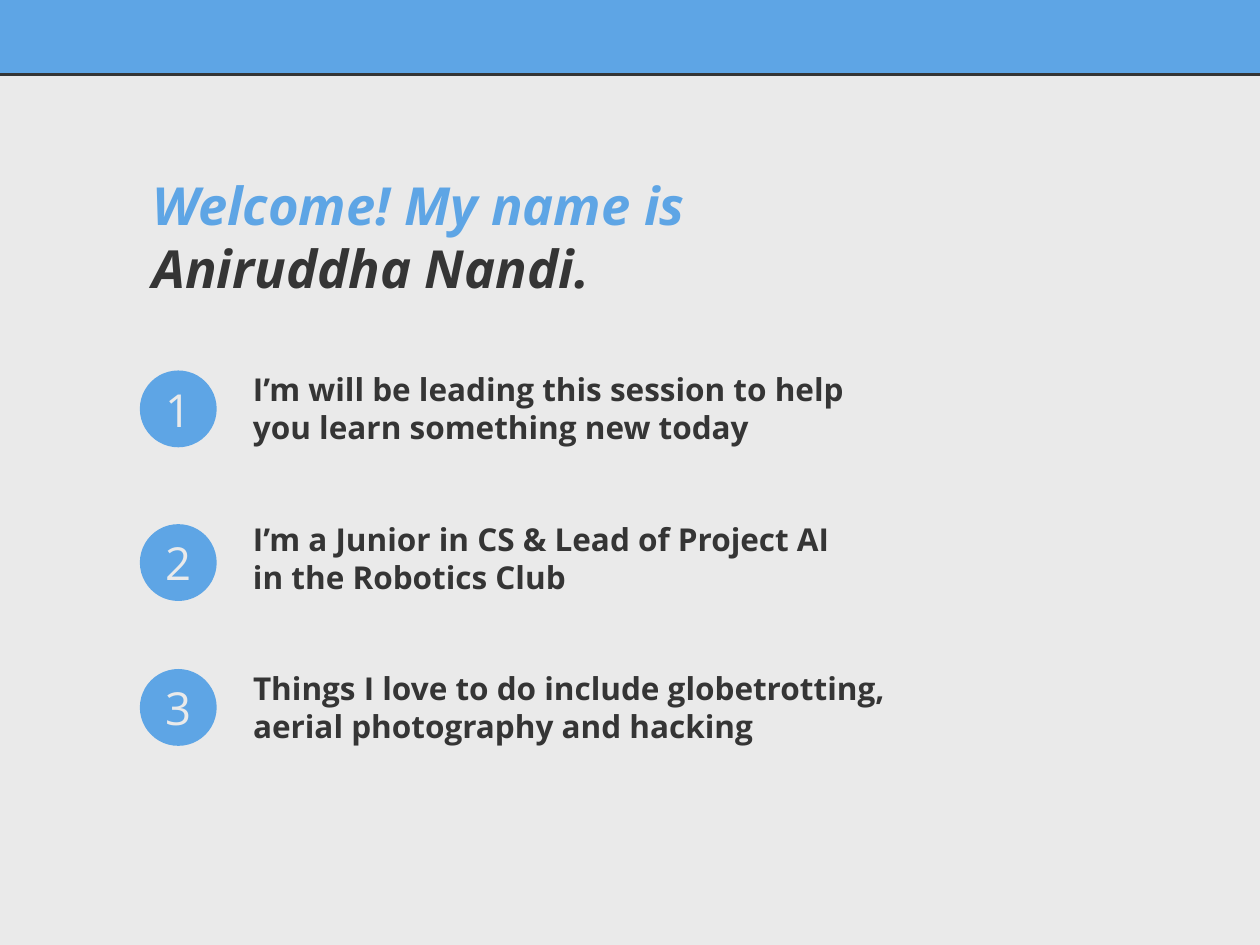
from pptx import Presentation
from pptx.dml.color import RGBColor
from pptx.enum.shapes import MSO_CONNECTOR, MSO_SHAPE
from pptx.enum.text import MSO_ANCHOR, PP_ALIGN
from pptx.oxml.ns import qn
from pptx.util import Inches, Pt
from lxml import etree

BLUE, DARK, LIGHT = "5EA5E5", "353535", "EAEAEA"
LEFT, TEXT_LEFT = 1.11, 1.91
CIRCLE = 0.61
POINTS = [  # circle top, text top, text width, text
    (2.94, 2.83, 5.07, "I’m will be leading this session to help you learn something new today"),
    (4.16, 4.02, 5.07, "I’m a Junior in CS & Lead of Project AI in the Robotics Club"),
    (5.31, 5.2, 5.29, "Things I love to do include globetrotting, aerial photography and hacking"),
]


def rgb(color):
    return RGBColor.from_string(color)


def write(shape, lines, size, bold=False, italic=False, align=PP_ALIGN.LEFT):
    """Fill a shape with (text, colour) lines, one paragraph each."""
    tf = shape.text_frame
    tf.word_wrap = True
    tf.vertical_anchor = MSO_ANCHOR.MIDDLE
    tf.margin_left = tf.margin_right = tf.margin_top = tf.margin_bottom = Inches(0.1)
    for i, (text, color) in enumerate(lines):
        p = tf.add_paragraph() if i else tf.paragraphs[0]
        p.alignment = align
        r = p.add_run()
        r.text = text
        r.font.name = "Open Sans"
        r.font.size = Pt(size)
        r.font.bold = bold
        r.font.italic = italic
        r.font.color.rgb = rgb(color)


def add_text(s, x, y, w, h, lines, size, **fmt):
    box = s.shapes.add_textbox(Inches(x), Inches(y), Inches(w), Inches(h))
    write(box, lines, size, **fmt)


def add_filled(s, kind, x, y, w, h, line=None):
    shape = s.shapes.add_shape(kind, Inches(x), Inches(y), Inches(w), Inches(h))
    shape.shadow.inherit = False
    shape.fill.solid()
    shape.fill.fore_color.rgb = rgb(BLUE)
    if line:
        shape.line.color.rgb = rgb(line)
        shape.line.width = Pt(0.75)
    else:
        shape.line.fill.background()
    return shape


def add_rule(s, y):
    rule = s.shapes.add_connector(
        MSO_CONNECTOR.STRAIGHT, Inches(0), Inches(y), Inches(10), Inches(y))
    rule.line.color.rgb = rgb(DARK)
    rule.line.width = Pt(1.5)
    etree.SubElement(rule._element.spPr, qn("a:effectLst"))


def add_point(s, number, circle_top, text_top, width, text):
    circle = add_filled(s, MSO_SHAPE.OVAL, LEFT, circle_top, CIRCLE, CIRCLE)
    write(circle, [(str(number), LIGHT)], 26, align=PP_ALIGN.CENTER)
    add_text(s, TEXT_LEFT, text_top, width, 0.82, [(text, DARK)], 18, bold=True)


def main():
    prs = Presentation()
    prs.slide_width, prs.slide_height = Inches(10), Inches(7.5)
    s = prs.slides.add_slide(prs.slide_layouts[6])
    s.background.fill.solid()
    s.background.fill.fore_color.rgb = rgb(LIGHT)

    add_filled(s, MSO_SHAPE.RECTANGLE, 0, 0, 10, 0.59, line=BLUE)
    add_rule(s, 0.59)
    add_text(s, LEFT, 1.31, 5.86, 1.12,
             [("Welcome! My name is", BLUE), ("Aniruddha Nandi.", DARK)],
             30, bold=True, italic=True)
    for number, point in enumerate(POINTS, 1):
        add_point(s, number, *point)

    prs.save("out.pptx")


if __name__ == "__main__":
    main()
